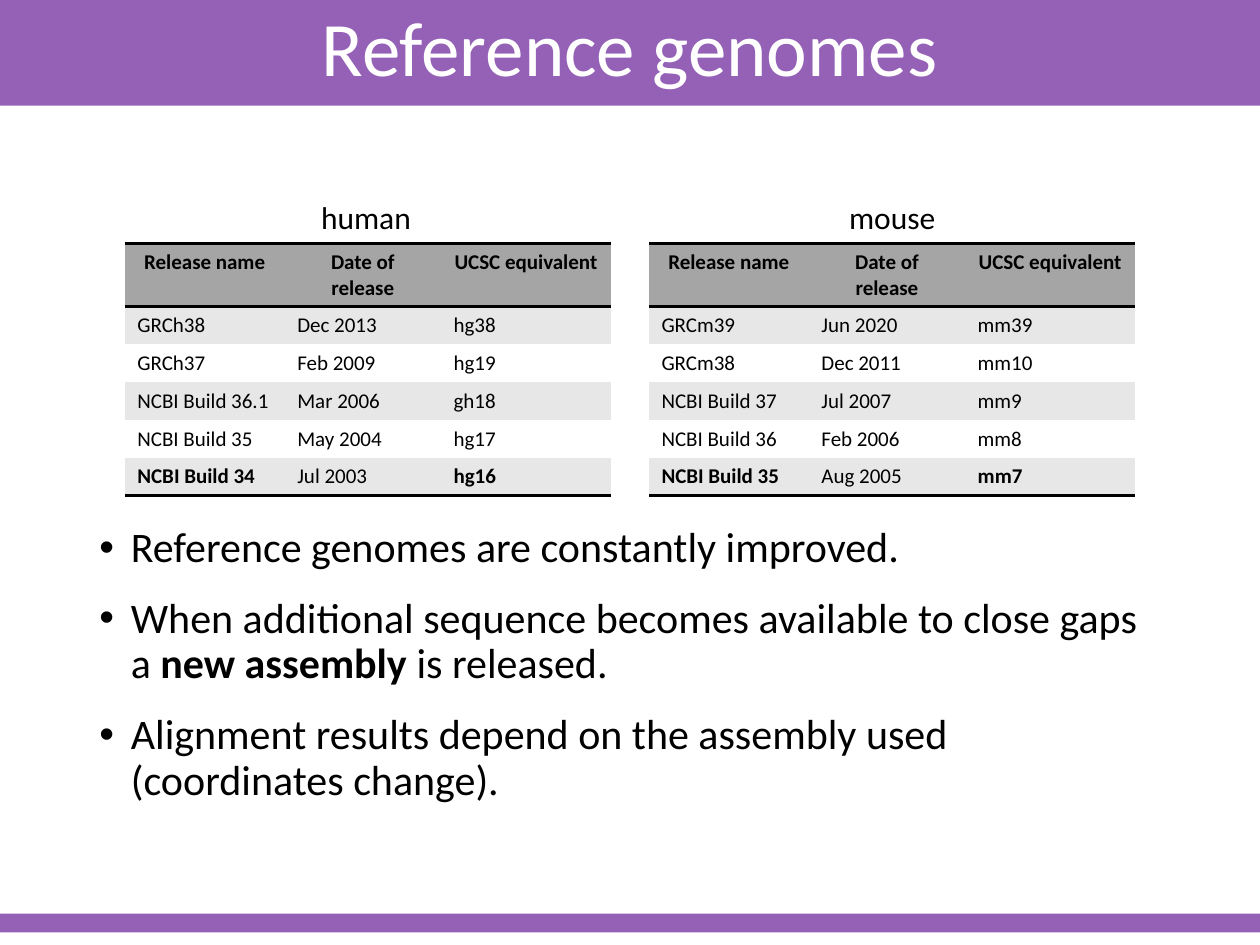
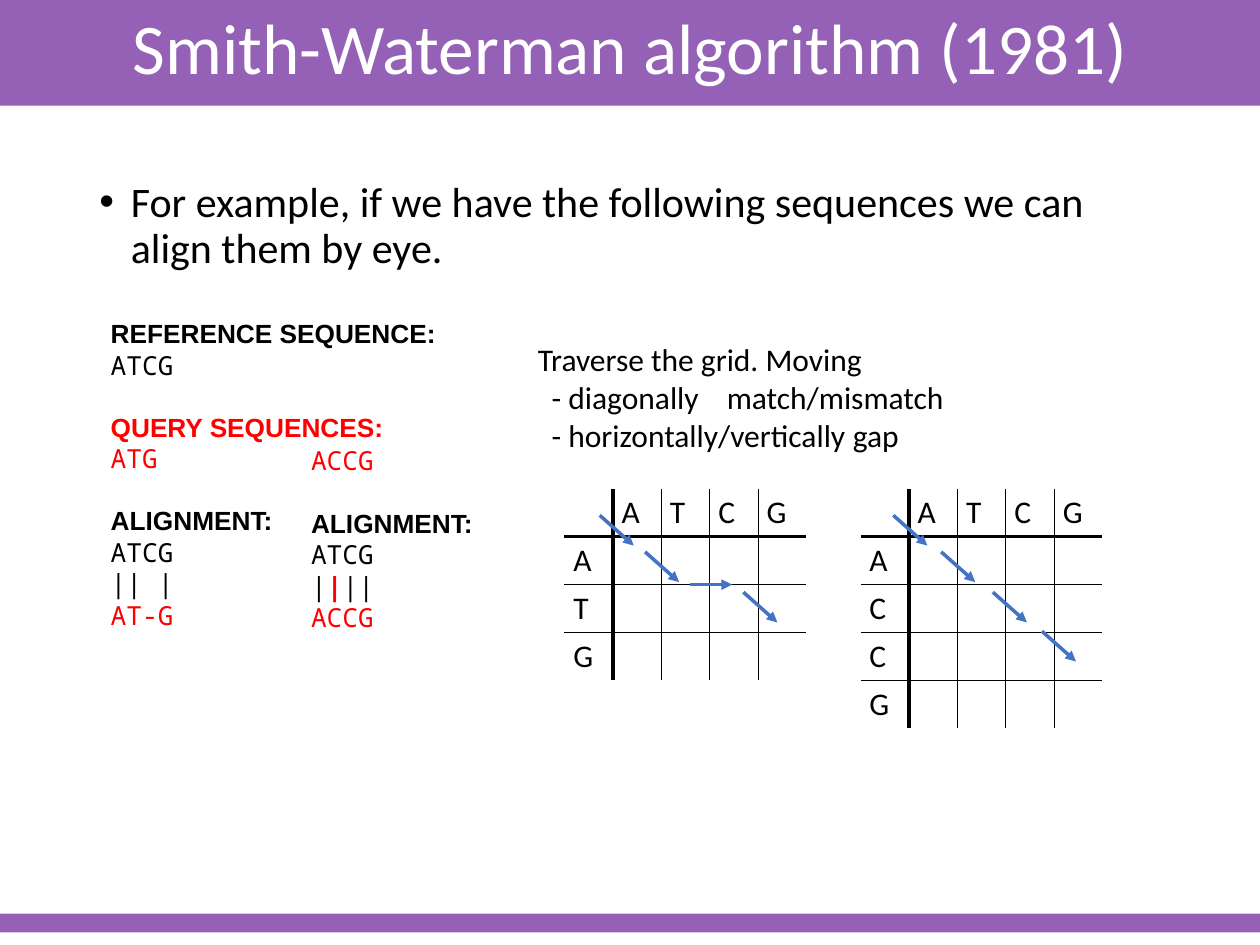
from lxml import etree
from pptx import Presentation
from pptx.dml.color import RGBColor
from pptx.enum import shapes, text
from pptx.oxml.ns import qn
from pptx.util import Inches, Pt

COLORS = {name: RGBColor.from_string(value) for name, value in {
    "purple": "9461B6", "white": "FFFFFF", "black": "000000", "red": "FF0000",
    "blue": "4472C4", "header": "A5A5A5", "stripe": "E7E7E7"}.items()}
PLAIN_TABLE_STYLE = "{2D5ABB26-0587-4C30-8999-92F81FD0307C}"
BODY_FONT, LABEL_FONT, CODE_FONT = "Calibri", "Arial", "Noto Sans Mono"
CENTER = text.PP_ALIGN.CENTER


def add_text(slide, box, lines, size, color="black", indent=(0, 0), bullet=False):
    """Add one paragraph per line; *stars* mark bold runs, indent is (left, first line)."""
    frame = slide.shapes.add_textbox(*map(Inches, box)).text_frame
    frame.word_wrap = True
    for number, line in enumerate(lines):
        paragraph = frame.add_paragraph() if number else frame.paragraphs[0]
        properties = paragraph._p.get_or_add_pPr()
        properties.set("marL", str(Inches(indent[0])))
        properties.set("indent", str(Inches(indent[1])))
        if bullet:
            etree.SubElement(properties, qn("a:buFont"), typeface="Arial")
            etree.SubElement(properties, qn("a:buChar"), char="•")
            paragraph.line_spacing = 0.9
            paragraph.space_before = Pt(10 if number else 0)
            paragraph.space_after = Pt(4.5)
        paragraph.font.size = Pt(size)
        paragraph.font.name = BODY_FONT
        paragraph.font.color.rgb = COLORS[color]
        for part, words in enumerate(line.split("*")):
            run = paragraph.add_run()
            run.text = words
            if part % 2:
                run.font.bold = True
    return frame


def set_borders(cell, widths):
    """Draw black borders, given in points for left, right, top and bottom."""
    properties = cell._tc.get_or_add_tcPr()
    for side, width in zip("LRTB", widths):
        line = etree.SubElement(properties, qn(f"a:ln{side}"), w=str(Pt(width)))
        if width:
            fill = etree.SubElement(line, qn("a:solidFill"))
            etree.SubElement(fill, qn("a:srgbClr"), val=str(COLORS["black"]))
        else:
            etree.SubElement(line, qn("a:noFill"))


presentation = Presentation()
presentation.slide_width, presentation.slide_height = Inches(10), Inches(7.5)

# Title band and footer band of every slide
for title, title_size in [("Reference genomes", 44),
                          ("Smith-Waterman algorithm (1981)", 40.7)]:
    slide = presentation.slides.add_slide(presentation.slide_layouts[6])
    for top, height in [(-0.02, 0.86), (7.25, 0.15)]:
        band = slide.shapes.add_shape(shapes.MSO_SHAPE.RECTANGLE, 0, Inches(top),
                                      Inches(10), Inches(height))
        band.shadow.inherit = False
        band.fill.solid()
        band.fill.fore_color.rgb = COLORS["purple"]
        band.line.fill.background()
    frame = add_text(slide, (0.69, -0.02, 8.62, 0.86), [title], title_size, "white")
    frame.vertical_anchor = text.MSO_ANCHOR.MIDDLE
    frame.paragraphs[0].alignment = CENTER
    frame.paragraphs[0].line_spacing = 0.9

genome_slide, algorithm_slide = presentation.slides

# Reference genomes: one release table per species
header = ("Release name", "Date of release", "UCSC equivalent")
human_releases = [
    header,
    ("GRCh38", "Dec 2013", "hg38"),
    ("GRCh37", "Feb 2009", "hg19"),
    ("NCBI Build 36.1", "Mar 2006", "gh18"),
    ("NCBI Build 35", "May 2004", "hg17"),
    ("NCBI Build 34", "Jul 2003", "hg16"),
]
mouse_releases = [
    header,
    ("GRCm39", "Jun 2020", "mm39"),
    ("GRCm38", "Dec 2011", "mm10"),
    ("NCBI Build 37", "Jul 2007", "mm9"),
    ("NCBI Build 36", "Feb 2006", "mm8"),
    ("NCBI Build 35", "Aug 2005", "mm7"),
]
for species, caption_left, table_left, releases in [
        ("human", 2.45, 0.99, human_releases), ("mouse", 6.64, 5.15, mouse_releases)]:
    add_text(genome_slide, (caption_left, 1.52, 1, 0.4), [species], 18)
    table = genome_slide.shapes.add_table(
        len(releases), len(header), Inches(table_left), Inches(1.93),
        Inches(3.86), Inches(2)).table
    table._tbl.tblPr.find(qn("a:tableStyleId")).text = PLAIN_TABLE_STYLE
    table.first_row = table.horz_banding = False
    for column, width in zip(table.columns, (1.27, 1.24, 1.35)):
        column.width = Inches(width)
    last = len(releases) - 1
    for row, release in enumerate(releases):
        table.rows[row].height = Inches(0.3 if row else 0.5)
        for column, value in enumerate(release):
            cell = table.cell(row, column)
            set_borders(cell, (0, 0, 2 if row in (0, 1) else 0,
                               2 if row in (0, last) else 0))
            cell.fill.solid()
            fill = "header" if row == 0 else "stripe" if row % 2 else "white"
            cell.fill.fore_color.rgb = COLORS[fill]
            cell.text = value
            paragraph = cell.text_frame.paragraphs[0]
            paragraph.alignment = text.PP_ALIGN.LEFT if row else CENTER
            paragraph.font.size = Pt(12)
            paragraph.font.name = BODY_FONT
            paragraph.font.color.rgb = COLORS["black"]
            paragraph.font.bold = row == 0 or (row == last and column != 1)

add_text(genome_slide, (0.69, 4.13, 8.62, 2.85), [
    "Reference genomes are constantly improved.",
    "When additional sequence becomes available to close gaps a *new assembly *is released.",
    "Alignment results depend on the assembly used (coordinates change).",
], 24, indent=(0.25, -0.25), bullet=True)

# Smith-Waterman: sequences and their alignments
add_text(algorithm_slide, (0.69, 1.39, 8.62, 5.25), [
    "For example, if we have the following sequences we can align them by eye.",
], 24, indent=(0.25, -0.25), bullet=True)

for box, lines, red_lines in [
        ((0.69, 2.47, 2.96, 2.63),
         ["REFERENCE SEQUENCE:", "ATCG", "QUERY SEQUENCES:", "ATG",
          "ALIGNMENT:", "ATCG", "|| |", "AT-G"], (2, 3, 7)),
        ((2.28, 3.48, 1.59, 1.62),
         ["ACCG", "ALIGNMENT:", "ATCG", "|*|*||", "ACCG"], (0, 4))]:
    frame = add_text(algorithm_slide, box, lines, 15, indent=(0.09, 0))
    for number, paragraph in enumerate(frame.paragraphs):
        is_label = paragraph.text.endswith(":")
        paragraph.font.name = LABEL_FONT if is_label else CODE_FONT
        paragraph.font.bold = is_label
        if is_label and number:
            paragraph.space_before = Pt(17.5)
        if number in red_lines:
            paragraph.font.color.rgb = COLORS["red"]
        for run in paragraph.runs:
            if run.font.bold:
                run.font.color.rgb = COLORS["red"]

# Rules for moving through the grid
add_text(algorithm_slide, (4.17, 2.65, 4.97, 0.4), ["Traverse the grid. Moving"], 18)
frame = add_text(algorithm_slide, (4.17, 2.95, 4.97, 0.71), [
    "- diagonally\tmatch/mismatch", "- horizontally/vertically\tgap"], 18, indent=(0, 0.11))
for paragraph in frame.paragraphs:
    tabs = etree.Element(qn("a:tabLst"))
    etree.SubElement(tabs, qn("a:tab"), pos=str(Inches(3)), algn="l")
    paragraph._p.pPr.find(qn("a:defRPr")).addprevious(tabs)

# Alignment grids: reference across, query down
reference = "ATCG"
column_width, row_height = Inches(0.384), Inches(0.304)
for query, left in [("ATG", 4.48), ("ACCG", 6.83)]:
    row_count, column_count = len(query) + 1, len(reference) + 1
    table = algorithm_slide.shapes.add_table(
        row_count, column_count, Inches(left), Inches(3.88),
        column_width * column_count, row_height * row_count).table
    table._tbl.tblPr.find(qn("a:tableStyleId")).text = PLAIN_TABLE_STYLE
    table.first_row = table.horz_banding = False
    for column in table.columns:
        column.width = column_width
    for row in range(row_count):
        table.rows[row].height = row_height
        for column in range(column_count):
            cell = table.cell(row, column)
            edges = [(column, column_count), (column + 1, column_count),
                     (row, row_count), (row + 1, row_count)]
            set_borders(cell, [0 if edge in (0, count) else 2.25 if edge == 1 else 0.25
                               for edge, count in edges])
            cell.fill.background()
            cell.margin_left = cell.margin_right = Inches(0.07)
            cell.margin_top = cell.margin_bottom = Inches(0.04)
            paragraph = cell.text_frame.paragraphs[0]
            if (row == 0) == (column == 0):
                etree.SubElement(paragraph._p, qn("a:endParaRPr"), sz="1000")
                continue
            cell.text = query[row - 1] if row else reference[column - 1]
            paragraph.alignment = CENTER
            paragraph.font.size = Pt(10)
            paragraph.font.name = BODY_FONT
            paragraph.font.bold = True
            paragraph.font.color.rgb = COLORS["red" if row else "black"]

# Path through each grid
diagonal, horizontal = (0.27, 0.24), (0.33, 0)
for x, y, (across, down) in [
        (4.76, 4.09, diagonal), (5.12, 4.38, diagonal),
        (5.48, 4.64, horizontal), (5.9, 4.7, diagonal),
        (7.09, 4.09, diagonal), (7.47, 4.38, diagonal),
        (7.88, 4.7, diagonal), (8.27, 5.01, diagonal)]:
    arrow = algorithm_slide.shapes.add_connector(
        shapes.MSO_CONNECTOR.STRAIGHT, Inches(x), Inches(y),
        Inches(x + across), Inches(y + down))
    arrow.line.color.rgb = COLORS["blue"]
    arrow.line.width = Pt(2)
    etree.SubElement(arrow.line._get_or_add_ln(), qn("a:tailEnd"), type="triangle")
    etree.SubElement(arrow._element.spPr, qn("a:effectLst"))

presentation.save("out.pptx")
